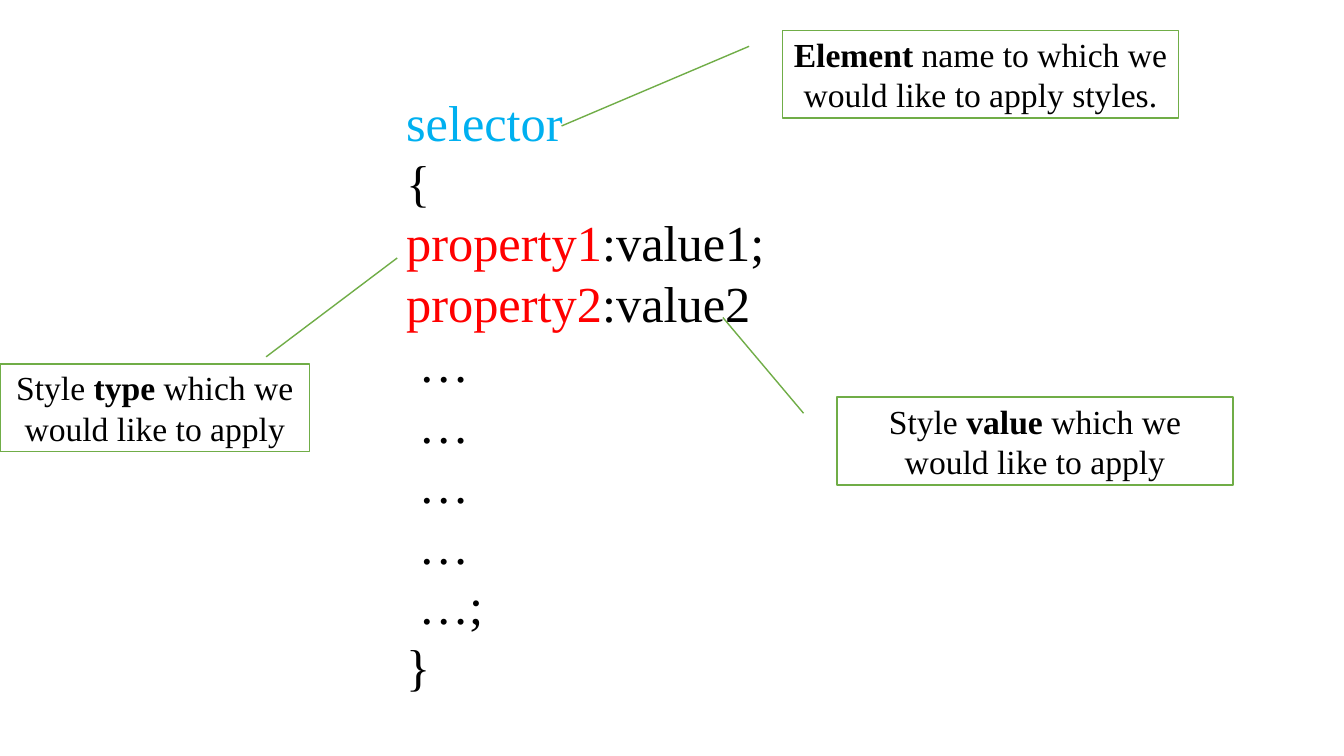
from pptx import Presentation
from pptx.dml.color import RGBColor
from pptx.enum.shapes import MSO_SHAPE
from pptx.enum.text import MSO_ANCHOR, MSO_AUTO_SIZE, PP_ALIGN
from pptx.util import Inches, Pt

CALLOUT = MSO_SHAPE.LINE_CALLOUT_1
MIDDLE, CENTER = MSO_ANCHOR.MIDDLE, PP_ALIGN.CENTER
GROW = MSO_AUTO_SIZE.SHAPE_TO_FIT_TEXT

THEME = {
    "font": "Times New Roman",
    "code_size": 36,
    "note_size": 24,
    "text": "000000",
    "selector": "00B0F0",
    "property": "FF0000",
    "fill": "FFFFFF",
    "line": "70AD47",
}

# Each run is its text and its colour name in THEME.
CODE_BOX = (3.93, 0.85, 6.67, 6.16)
CODE = [
    [("selector", "selector")],
    [("{", "text")],
    [("property1", "property"), (":value1;", "text")],
    [("property2", "property"), (":value2", "text")],
    *[[(" …", "text")]] * 4,
    [(" …;", "text")],
    [("}", "text")],
]

# Each run is its text and whether it is bold; a pointer runs from start to tip.
CALLOUTS = [
    {"box": (7.76, 0.3, 3.93, 0.87), "start": (7.43, 0.46), "tip": (5.57, 1.25),
     "runs": [("Element", True),
              (" name to which we would like to apply styles.", False)]},
    {"box": (8.3, 3.94, 3.93, 0.87), "start": (7.97, 4.1), "tip": (7.17, 3.15),
     "runs": [("Style ", False), ("value", True),
              (" which we would like to apply", False)]},
    {"box": (0, 3.61, 3.07, 0.87), "start": (2.64, 3.54), "tip": (3.94, 2.56),
     "runs": [("Style ", False), ("type", True),
              (" which we would like to apply", False)]},
]


def color(name):
    return RGBColor.from_string(THEME[name])


def add_run(p, text, size, color_name="text", bold=False):
    r = p.add_run()
    r.text = text
    formats = {"name": THEME["font"], "size": Pt(THEME[size]), "bold": bold}
    for key, value in formats.items():
        setattr(r.font, key, value)
    r.font.color.rgb = color(color_name)


def add_code(slide):
    tf = slide.shapes.add_textbox(*map(Inches, CODE_BOX)).text_frame
    tf.word_wrap = True
    tf.auto_size = GROW
    for i, line in enumerate(CODE):
        p = tf.add_paragraph() if i else tf.paragraphs[0]
        for text, color_name in line:
            add_run(p, text, "code_size", color_name)


def add_callout(slide, box, start, tip, runs):
    sp = slide.shapes.add_shape(CALLOUT, *map(Inches, box))
    left, top, width, height = box
    ends = [((y - top) / height, (x - left) / width) for x, y in (start, tip)]
    for i, value in enumerate(ends[0] + ends[1]):
        sp.adjustments[i] = value
    sp.shadow.inherit = False
    sp.fill.solid()
    sp.fill.fore_color.rgb = color("fill")
    sp.line.color.rgb = color("line")
    sp.line.width = Pt(1)
    tf = sp.text_frame
    tf.word_wrap = True
    tf.vertical_anchor = MIDDLE
    p = tf.paragraphs[0]
    p.alignment = CENTER
    for text, bold in runs:
        add_run(p, text, "note_size", bold=bold)


def main():
    prs = Presentation()
    prs.slide_width, prs.slide_height = Inches(13.33), Inches(7.5)
    slide = prs.slides.add_slide(prs.slide_layouts[6])
    add_code(slide)
    for callout in CALLOUTS:
        add_callout(slide, **callout)
    prs.save("out.pptx")


if __name__ == "__main__":
    main()
